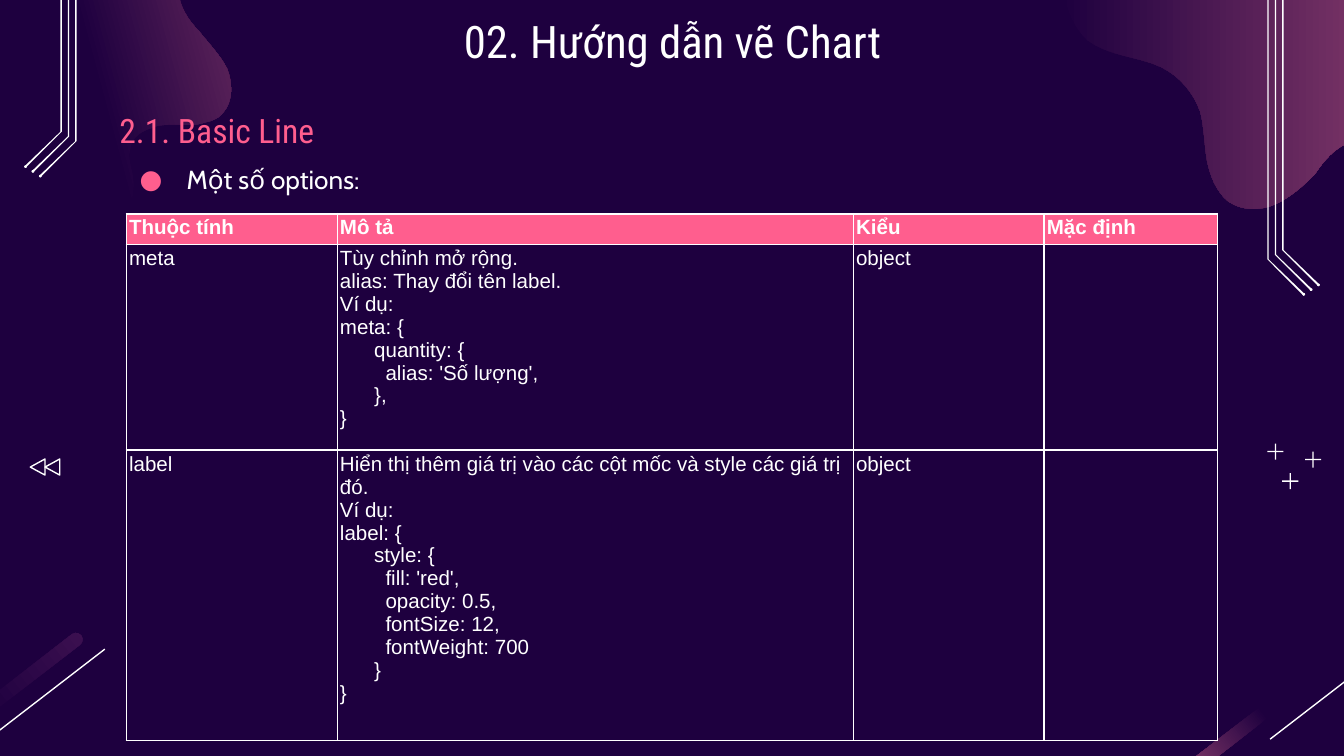
from lxml import etree
from pptx import Presentation, util as u
from pptx.dml.color import RGBColor
from pptx.enum import shapes, text
from pptx.oxml.ns import qn

NIGHT = RGBColor(0x1E, 0x00, 0x3F)
MAUVE = RGBColor(0xA6, 0x4D, 0x79)
DUSK = RGBColor(0x3C, 0x10, 0x50)
PINK = RGBColor(0xFF, 0x5E, 0x8E)
WHITE = RGBColor(0xFF, 0xFF, 0xFF)

TITLE = "02. Hướng dẫn vẽ Chart"
SECTION = "2.1. Basic Line"
LEAD = "Một số options:"
TABLE_ROWS = [
    ["Thuộc tính", "Mô tả", "Kiểu", "Mặc định"],
    ["meta", """Tùy chỉnh mở rộng.
alias: Thay đổi tên label.
Ví dụ:
meta: {
      quantity: {
        alias: 'Số lượng',
      },
}""", "object", ""],
    ["label", """Hiển thị thêm giá trị vào các cột mốc và style các giá trị đó.
Ví dụ:
label: {
      style: {
        fill: 'red',
        opacity: 0.5,
        fontSize: 12,
        fontWeight: 700
      }
}""", "object", ""],
]
COLUMN_WIDTHS = [1.57, 3.84, 1.42, 1.29]
ROW_HEIGHTS = [0.23, 1.53, 2.16]

LEFT_BLOB = [
    (0.48, 1.9),
    (0.74, 1.83, 0.86, 1.69, 0.9, 1.65), (0.98, 1.56, 1.01, 1.43, 0.99, 1.31),
    (0.98, 1.24, 0.95, 1.17, 0.97, 1.11), (0.98, 1.02, 1.06, 0.97, 1.14, 0.95),
    (1.15, 0.94, 1.15, 0.94, 1.16, 0.94), (1.24, 0.92, 1.33, 0.93, 1.42, 0.93),
    (1.46, 0.93, 1.5, 0.92, 1.53, 0.91), (1.58, 0.9, 1.63, 0.88, 1.66, 0.84),
    (1.74, 0.75, 1.73, 0.61, 1.69, 0.51), (1.64, 0.41, 1.55, 0.32, 1.48, 0.23),
    (1.4, 0.15, 1.33, 0.04, 1.33, -0.07), (1.33, -0.16, 1.36, -0.25, 1.43, -0.31),
    (1.47, -0.35, 1.53, -0.38, 1.59, -0.39), (1.68, -0.42, 1.79, -0.42, 1.9, -0.41),
    (2.01, -0.41, 2.12, -0.4, 2.23, -0.42), (2.25, -0.43, 2.26, -0.43, 2.28, -0.43),
    (2.37, -0.46, 2.46, -0.51, 2.52, -0.58), (2.59, -0.66, 2.61, -0.78, 2.58, -0.87),
    (2.56, -1.05, 2.44, -1.25, 2.33, -1.34), (2.15, -1.5, 1.9, -1.55, 1.67, -1.51),
    (1.66, -1.5, 1.65, -1.5, 1.64, -1.5), (1.29, -1.4, 1.03, -1.1, 0.7, -0.95),
    (0.65, -0.93, 0.59, -0.91, 0.54, -0.9), (0.22, -0.81, -0.13, -0.85, -0.47, -0.82),
    (-0.62, -0.81, -0.77, -0.78, -0.91, -0.74), (-1.04, -0.71, -1.16, -0.67, -1.28, -0.61),
    (-1.45, -0.54, -1.62, -0.44, -1.74, -0.3), (-1.86, -0.17, -1.95, 0.02, -1.94, 0.22),
    (-1.93, 0.46, -1.76, 0.68, -1.56, 0.8), (-1.35, 0.93, -1.12, 0.97, -0.88, 0.99),
    (-0.74, 1.01, -0.6, 1.01, -0.46, 1.06), (-0.32, 1.1, -0.19, 1.19, -0.13, 1.33),
    (-0.08, 1.44, -0.08, 1.55, -0.03, 1.66), (0.06, 1.84, 0.29, 1.95, 0.47, 1.9),
]
RIGHT_BLOB = [
    (11.25, 0.38),
    (11.25, 0.13, 11.18, -0.13, 11.05, -0.35), (10.94, -0.54, 10.78, -0.7, 10.58, -0.77),
    (10.36, -0.85, 10.12, -0.81, 9.89, -0.84), (9.67, -0.87, 9.45, -0.97, 9.29, -1.13),
    (9.18, -1.23, 9.09, -1.35, 8.97, -1.41), (8.83, -1.48, 8.67, -1.46, 8.52, -1.43),
    (8.4, -1.4, 8.28, -1.36, 8.19, -1.29), (8.03, -1.17, 7.96, -0.97, 7.93, -0.78),
    (7.9, -0.65, 7.89, -0.51, 7.89, -0.38), (7.89, -0.31, 7.89, -0.24, 7.9, -0.18),
    (7.91, 0, 7.96, 0.18, 8.09, 0.3), (8.25, 0.42, 8.47, 0.42, 8.64, 0.5),
    (8.78, 0.57, 8.88, 0.69, 8.93, 0.83), (8.96, 0.94, 8.96, 1.07, 8.98, 1.19),
    (9, 1.3, 9.05, 1.43, 9.14, 1.5), (9.24, 1.57, 9.38, 1.57, 9.49, 1.52),
    (9.6, 1.47, 9.69, 1.39, 9.78, 1.3), (9.83, 1.23, 9.88, 1.16, 9.95, 1.11),
    (10.02, 1.06, 10.1, 1.03, 10.18, 1.06), (10.33, 1.1, 10.38, 1.3, 10.52, 1.38),
    (10.85, 1.57, 11.08, 1.12, 11.17, 0.88), (11.22, 0.72, 11.25, 0.55, 11.25, 0.38),
]
PLUS_CENTRES = [(9.6, 3.58), (9.77, 3.42), (9.49, 3.36)]
STREAKS = [(0, DUSK, 0), (9.54, MAUVE, 180)]


def inch(value):
    return u.Cm(value * 2.54)


def plain(shape, color=None):
    shape.shadow.inherit = False
    shape.line.fill.background()
    if color is None:
        shape.fill.background()
    else:
        shape.fill.solid()
        shape.fill.fore_color.rgb = color
    return shape


def preset(page, kind, *place, color=None):
    return plain(page.shapes.add_shape(kind, *map(inch, place)), color)


def polygon(page, points, color=None):
    corners = [(inch(x), inch(y)) for x, y in points]
    builder = page.shapes.build_freeform(*corners[0])
    builder.add_line_segments(corners[1:], close=True)
    return plain(builder.convert_to_shape(), color)


def curve_points(segments, steps=8):
    points = [segments[0]]
    for x1, y1, x2, y2, x3, y3 in segments[1:]:
        x0, y0 = points[-1]
        for step in range(1, steps + 1):
            t = step / steps
            a, b, c, d = (1 - t) ** 3, 3 * t * (1 - t) ** 2, 3 * t * t * (1 - t), t ** 3
            points.append((a * x0 + b * x1 + c * x2 + d * x3,
                           a * y0 + b * y1 + c * y2 + d * y3))
    return points


def shade(shape, start, end_color, angle):
    shape.fill.gradient()
    shape.fill.gradient_angle = angle
    first, last = shape.fill.gradient_stops
    first.color.rgb, first.position = NIGHT, start
    last.color.rgb, last.position = end_color, 1


def add_rails(page, mirrored):
    def place(x, y):
        return (10 - x, y - 0.88) if mirrored else (x, y)

    for index in range(3):
        x, bend, top = 9.54 - 0.055 * index, 1.86 + 0.035 * index, -1.19
        outline = [(x, top), (x, bend), (x + 0.27, bend + 0.27),
                   (x + 0.28, bend + 0.26), (x + 0.01, bend), (x + 0.01, top)]
        polygon(page, [place(*point) for point in outline], WHITE)
        dot_x, dot_y = place(x + 0.27, bend + 0.26)
        preset(page, shapes.MSO_SHAPE.OVAL, dot_x - 0.01, dot_y - 0.01, 0.02, 0.02, color=WHITE)


def add_decor(page):
    shade(polygon(page, curve_points(LEFT_BLOB)), 0.55, MAUVE, 15)
    shade(polygon(page, curve_points(RIGHT_BLOB)), 0, MAUVE, 0)
    for shift, color, angle in STREAKS:
        streak = preset(page, shapes.MSO_SHAPE.ROUNDED_RECTANGLE, shift - 1.07, 5.25, 1.87, 0.1)
        streak.adjustments[0] = 0.5
        streak.rotation = -37.7
        shade(streak, 0.5, color, angle)
        slash = page.shapes.add_connector(
            shapes.MSO_CONNECTOR.STRAIGHT,
            *map(inch, (shift + 0.78, 4.83, shift - 0.09, 5.5)))
        slash.line.color.rgb = WHITE
        slash.line.width = u.Pt(0.75)
        etree.SubElement(slash._element.spPr, qn("a:effectLst"))
    for mirrored in (False, True):
        add_rails(page, mirrored)
    for x, y in PLUS_CENTRES:
        for width, height in ((0.12, 0.01), (0.01, 0.12)):
            preset(page, shapes.MSO_SHAPE.RECTANGLE,
                   x - width / 2, y - height / 2, width, height, color=WHITE)
    for x in (0.22, 0.33):
        arrow = preset(page, shapes.MSO_SHAPE.ISOSCELES_TRIANGLE, x, 3.42, 0.12, 0.11)
        arrow.rotation = 270
        arrow.line.color.rgb = WHITE
        arrow.line.width = u.Pt(0.75)


def style(para, name, size, color, bold=False):
    for span in para.runs:
        span.font.name, span.font.size, span.font.bold = name, u.Pt(size), bold
        span.font.color.rgb = color


def add_text(page, words, place, name, size, color, anchor=text.MSO_ANCHOR.TOP):
    frame = page.shapes.add_textbox(*map(inch, place)).text_frame
    frame.word_wrap = True
    frame.vertical_anchor = anchor
    frame.margin_left = frame.margin_right = frame.margin_top = frame.margin_bottom = inch(0.1)
    frame.text = words
    para = frame.paragraphs[0]
    style(para, name, size, color)
    return para


def add_bullet(para):
    props = para._p.get_or_add_pPr()
    props.set("marL", str(inch(0.5)))
    props.set("indent", str(inch(-0.35)))
    tint = etree.SubElement(props, qn("a:buClr"))
    etree.SubElement(tint, qn("a:srgbClr"), val=str(PINK))
    etree.SubElement(props, qn("a:buFont"), typeface="Cabin")
    etree.SubElement(props, qn("a:buChar"), char="●")


def add_borders(cell):
    props = cell._tc.get_or_add_tcPr()
    for side in ("a:lnL", "a:lnR", "a:lnT", "a:lnB"):
        edge = etree.SubElement(props, qn(side), w=str(u.Pt(1)))
        paint = etree.SubElement(edge, qn("a:solidFill"))
        etree.SubElement(paint, qn("a:srgbClr"), val=str(WHITE))


def add_options_table(page):
    place = (0.94, 1.59, sum(COLUMN_WIDTHS), sum(ROW_HEIGHTS))
    table = page.shapes.add_table(len(TABLE_ROWS), len(COLUMN_WIDTHS), *map(inch, place)).table
    table.first_row = table.horz_banding = False
    for column, width in zip(table.columns, COLUMN_WIDTHS):
        column.width = inch(width)
    for index, (row, height) in enumerate(zip(table.rows, ROW_HEIGHTS)):
        row.height = inch(height)
        for cell, words in zip(row.cells, TABLE_ROWS[index]):
            add_borders(cell)
            cell.margin_left = cell.margin_right = cell.margin_top = cell.margin_bottom = inch(0.02)
            if index == 0:
                cell.fill.solid()
                cell.fill.fore_color.rgb = PINK
            else:
                cell.fill.background()
            cell.text_frame.text = words
            for para in cell.text_frame.paragraphs:
                style(para, "Arial", 11, WHITE, bold=index == 0)


def main():
    deck = Presentation()
    deck.slide_width, deck.slide_height = inch(10), inch(10 * 9 / 16)
    page = deck.slides.add_slide(deck.slide_layouts[6])
    page.background.fill.solid()
    page.background.fill.fore_color.rgb = NIGHT
    add_decor(page)
    lead = add_text(page, LEAD, (0.79, 1, 8.12, 0.5), "Cabin", 14, WHITE)
    lead.line_spacing = 1.5
    add_bullet(lead)
    title = add_text(page, TITLE, (0.79, 0, 8.43, 0.63), "Roboto Condensed", 24, WHITE)
    title.alignment = text.PP_ALIGN.CENTER
    section = add_text(page, SECTION, (0.79, 0.77, 7.02, 0.45), "Roboto Condensed", 18, PINK,
                       text.MSO_ANCHOR.BOTTOM)
    section.line_spacing = 1.15
    section.space_after = u.Pt(12)
    add_options_table(page)
    deck.save("out.pptx")


if __name__ == "__main__":
    main()
